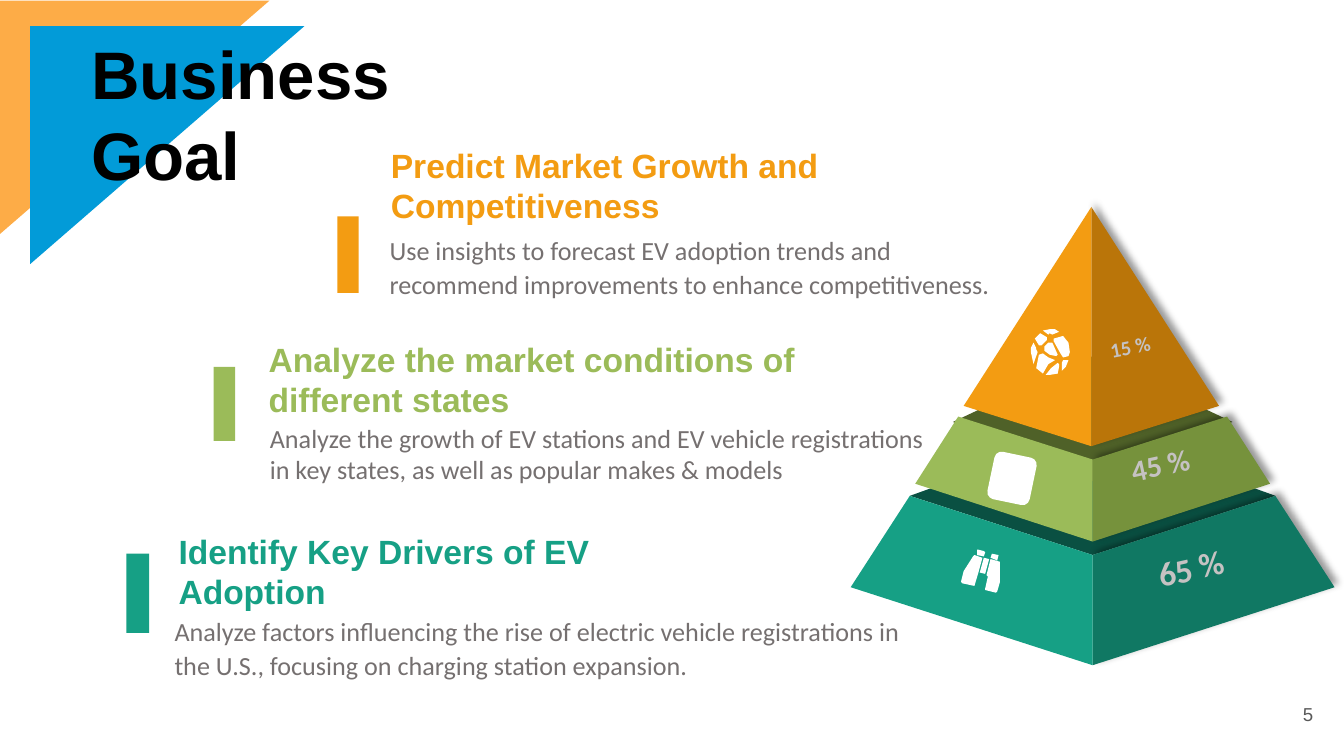
import pptx
import pptx.dml.color
import pptx.enum.shapes
import pptx.enum.text
import pptx.util
from lxml import etree

PX = 9144
ORANGE, GREEN, TEAL = "F39C12", "9BBB59", "16A085"
WHITE, GREY, SILVER = "FFFFFF", "757070", "C5C2C2"
NS = "http://schemas.openxmlformats.org/drawingml/2006/main"
KIND = pptx.enum.shapes.MSO_SHAPE
ALIGN = pptx.enum.text.PP_ALIGN
ANCHOR = pptx.enum.text.MSO_ANCHOR

GLOBE = [
    [(787, 270), (782, 274), (778, 279), (781, 279), (787, 278), (788, 273), (788, 271)],
    [(791, 250), (784, 252), (784, 254), (789, 263), (791, 266), (795, 265), (796, 262),
     (795, 255)],
    [(785, 268), (780, 266), (776, 263), (773, 264), (771, 274), (776, 278), (780, 271)],
    [(790, 270), (790, 276), (793, 273), (795, 268), (791, 268)],
    [(786, 265), (787, 264), (783, 255), (780, 255), (777, 258), (777, 261), (781, 264)],
    [(781, 248), (783, 249), (788, 247), (785, 245), (781, 245), (776, 246), (780, 249)],
    [(771, 260), (771, 259), (769, 255), (767, 259), (767, 262), (769, 271), (772, 262)],
    [(774, 257), (775, 257), (779, 253), (779, 251), (774, 248), (770, 252), (773, 257)],
]
GLASSES = [
    [(728, 426), (725, 436), (716, 434), (715, 433), (717, 425), (724, 414), (725, 413),
     (731, 415)],
    [(732, 414), (727, 413), (727, 409), (728, 409), (732, 410), (733, 411)],
    [(733, 427), (729, 426), (732, 415), (736, 416)],
    [(742, 417), (737, 415), (738, 412), (743, 413)],
    [(742, 440), (741, 441), (733, 439), (733, 438), (735, 429), (734, 428), (737, 416),
     (744, 418), (744, 433)],
]


class Deck:
    """Holds the style and the current slide, and draws each kind of element."""

    def __init__(self, width):
        self.file = pptx.Presentation()
        self.file.slide_width = width * PX
        self.file.slide_height = width * PX * 9 // 16
        self.slide = self.file.slides.add_slide(self.file.slide_layouts[6])
        self.shapes = self.slide.shapes

    def tint(self, color):
        return pptx.dml.color.RGBColor.from_string(color)

    def paint(self, shape, color):
        shape.shadow.inherit = False
        shape.fill.solid()
        shape.fill.fore_color.rgb = self.tint(color)
        shape.line.fill.background()

    def shape(self, kind, box, color, turn=0):
        shape = self.shapes.add_shape(kind, *(n * PX for n in box))
        shape.rotation = turn
        self.paint(shape, color)
        return shape

    def corner(self, box, color):
        self.shape(KIND.ISOSCELES_TRIANGLE, box, color, 90).adjustments[0] = 0

    def outline(self, paths, color):
        pen = self.shapes.build_freeform(*paths[0][0], scale=PX)
        pen.add_line_segments(paths[0][1:], close=True)
        for path in paths[1:]:
            pen.move_to(*path[0])
            pen.add_line_segments(path[1:], close=True)
        shape = pen.convert_to_shape()
        self.paint(shape, color)
        return shape

    def shade(self, shape):
        effects = shape._element.spPr.find(f"{{{NS}}}effectLst")
        outer = etree.SubElement(effects, f"{{{NS}}}outerShdw", blurRad="50800",
                                 dist="38100", dir="18900000", algn="bl", rotWithShape="0")
        black = etree.SubElement(outer, f"{{{NS}}}srgbClr", val="000000")
        etree.SubElement(black, f"{{{NS}}}alpha", val="40000")

    def lid(self, mid, half, top, side, low, color):
        self.outline([[(mid, top), (mid - half, side), (mid, low), (mid + half, side)]], color)

    def tier(self, mid, inner, high, crest, outer, side, low, light, dark):
        for sign, color in ((1, dark), (-1, light)):
            face = self.outline([[(mid + sign * inner, high), (mid, crest), (mid, low),
                                  (mid + sign * outer, side)]], color)
            if sign == 1:
                self.shade(face)

    def text(self, box, lines, size, color, font="Calibri", bold=False, turn=0, space=None,
             align=None, anchor=ANCHOR.TOP, pad=5):
        area = self.shapes.add_textbox(*(n * PX for n in box))
        area.rotation = turn
        frame = area.text_frame
        frame.word_wrap = True
        frame.vertical_anchor = anchor
        frame.margin_left = frame.margin_right = 10 * PX
        frame.margin_top = frame.margin_bottom = pad * PX
        frame.text = lines
        for para in frame.paragraphs:
            para.alignment = align
            para.line_spacing = space
            para.font.size = pptx.util.Pt(size)
            para.font.name = font
            para.font.bold = bold
            para.font.color.rgb = self.tint(color)

    def share(self, box, label, size, turn):
        self.text(box, label, size, SILVER, bold=True, turn=turn)

    def goal(self, color, bar, head, title, body, detail, space=None):
        self.shape(KIND.RECTANGLE, bar, color)
        self.text(head, title, 18, color, "Arial", True)
        self.text(body, detail, 14, GREY, space=space)


def main():
    deck = Deck(1000)
    deck.text((927, 510, 60, 43), "5", 10, "595959", "Arial", align=ALIGN.RIGHT,
              anchor=ANCHOR.MIDDLE, pad=10)
    deck.corner((13, -13, 174, 201), "FDAC47")
    deck.corner((36, 6, 177, 204), "029BD8")
    deck.text((58, 19, 278, 131), "Business\nGoal", 36, "000000", "Arial", True)

    deck.lid(813, 136, 320, 369, 413, "0A5042")
    deck.tier(813, 136, 369, 413, 180, 437, 495, TEAL, "107863")
    deck.outline(GLASSES, WHITE)
    deck.share((853, 401, 79, 55), "65 %", 18, 347.5)

    deck.lid(813, 104, 265, 314, 358, "4F6128")
    deck.tier(813, 100, 310, 342, 132, 360, 403, GREEN, "76923C")
    deck.shape(KIND.ROUNDED_RECTANGLE, (737, 338, 32, 36), WHITE, 11.8)
    deck.share((833, 326, 73, 51), "45 %", 16, 347.8)

    deck.tier(812, 0, 154, 154, 95, 302, 332, ORANGE, "BA7509")
    deck.outline(GLOBE, WHITE)
    deck.share((817, 243, 57, 39), "15 %", 11, 349)

    deck.goal(ORANGE, (251, 161, 16, 57), (281, 103, 431, 71),
              "Predict Market Growth and Competitiveness", (280, 167, 491, 61),
              "Use insights to forecast EV adoption trends and recommend improvements "
              "to enhance competitiveness.", 1.09)
    deck.goal(TEAL, (94, 412, 17, 59), (123, 390, 351, 71),
              "Identify Key Drivers of EV Adoption", (120, 451, 562, 61),
              "Analyze factors influencing the rise of electric vehicle registrations "
              "in the U.S., focusing on charging station expansion.", 1.09)
    deck.goal(GREEN, (159, 273, 16, 55), (190, 247, 472, 71),
              "Analyze the market conditions of different states", (191, 309, 514, 57),
              "Analyze the growth of EV stations and EV vehicle registrations "
              "in key states, as well as popular makes & models")
    deck.file.save("out.pptx")


if __name__ == "__main__":
    main()
